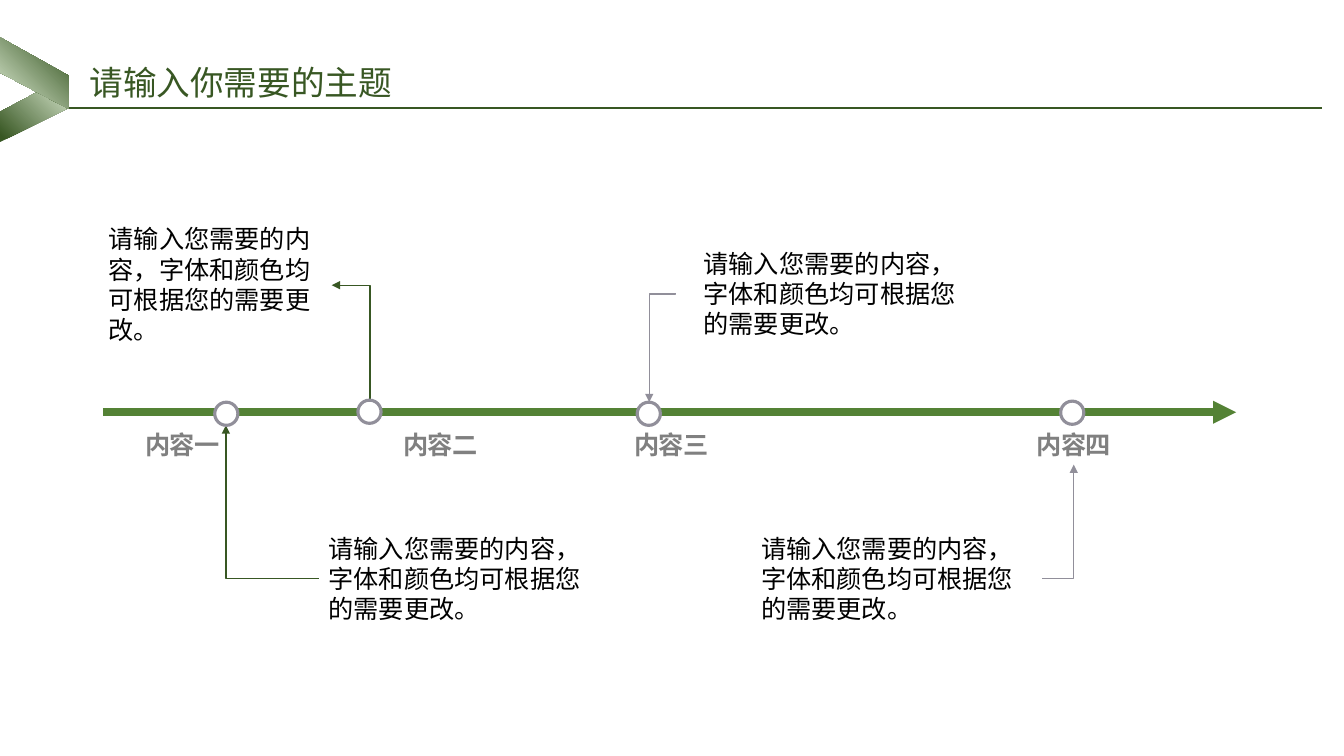
"""Build a timeline slide with four milestones and their descriptions."""
import math

import lxml.etree
import pptx
import pptx.dml.color
import pptx.enum.shapes
import pptx.enum.text
import pptx.oxml.ns
import pptx.util

PX = 9144
FONT = "Noto Sans CJK SC"
COLORS = {name: pptx.dml.color.RGBColor.from_string(value) for name, value in {
    "axis": "548235", "dark": "385723", "pale": "E2F0D9", "ring": "918F9A",
    "label": "808080", "black": "000000", "white": "FFFFFF"}.items()}

deck = pptx.Presentation()
deck.slide_width = 1333 * PX
deck.slide_height = 750 * PX
slide = deck.slides.add_slide(deck.slide_layouts[6])
shapes = slide.shapes


def add_line(begin, end, color, width, arrow=None, turn=None):
    middle_x, middle_y = (begin[0] + end[0]) / 2, (begin[1] + end[1]) / 2
    half_x, half_y = begin[0] - middle_x, begin[1] - middle_y
    angle = math.radians(turn or 0)
    frame_x = half_x * math.cos(angle) + half_y * math.sin(angle)
    frame_y = half_y * math.cos(angle) - half_x * math.sin(angle)
    kind = pptx.enum.shapes.MSO_CONNECTOR
    line = shapes.add_connector(
        kind.STRAIGHT if turn is None else kind.ELBOW,
        *(round(length * PX) for length in (
            middle_x + frame_x, middle_y + frame_y,
            middle_x - frame_x, middle_y - frame_y)))
    line.line.color.rgb = COLORS[color]
    line.line.width = pptx.util.Pt(width)
    properties = line._element.spPr
    if turn:
        properties.find(pptx.oxml.ns.qn("a:xfrm")).set("rot", str(turn * 60000))
    if arrow:
        lxml.etree.SubElement(line.line._get_or_add_ln(), pptx.oxml.ns.qn(arrow), type="triangle")
    lxml.etree.SubElement(properties, pptx.oxml.ns.qn("a:effectLst"))
    return properties.find(pptx.oxml.ns.qn("a:prstGeom"))


def add_text(text, left, top, width, height, size, color, latin=FONT, wrap=True):
    box = shapes.add_textbox(left * PX, top * PX, width * PX, height * PX)
    box.text_frame.text = text
    box.text_frame.word_wrap = wrap
    box.text_frame.auto_size = pptx.enum.text.MSO_AUTO_SIZE.SHAPE_TO_FIT_TEXT
    run = box.text_frame.paragraphs[0].runs[0]
    run.font.size = pptx.util.Pt(size)
    run.font.color.rgb = COLORS[color]
    run.font.name = latin
    lxml.etree.SubElement(run.font._element, pptx.oxml.ns.qn("a:ea"), typeface=FONT)
    return run.font


add_line((102, 409), (1226, 409), "axis", 5.5, "a:tailEnd")

for begin, end, color, turn, preset in [
    ((644, 399), (670, 291), "ring", 90, "bentConnector3"),
    ((224, 422), (316, 574), "dark", 270, "bentConnector2"),
    ((329, 283), (367, 397), "dark", 0, "bentConnector2"),
    ((1065, 461), (1033, 574), "ring", 90, "bentConnector2"),
]:
    geometry = add_line(begin, end, color, 1, "a:headEnd", turn)
    geometry.set("prst", preset)
    if preset == "bentConnector3":
        guides = geometry.get_or_add_avLst()
        lxml.etree.SubElement(guides, pptx.oxml.ns.qn("a:gd"), name="adj1", fmla="val 99400")

for left, top in [(213, 399), (355, 397), (632, 399), (1052, 398)]:
    milestone = shapes.add_shape(
        pptx.enum.shapes.MSO_SHAPE.OVAL, left * PX, top * PX, 23 * PX, 23 * PX)
    milestone.shadow.inherit = False
    milestone.fill.solid()
    milestone.fill.fore_color.rgb = COLORS["white"]
    milestone.line.color.rgb = COLORS["ring"]
    milestone.line.width = pptx.util.Pt(2.25)

for label, left in [("内容一", 134), ("内容二", 390), ("内容三", 619), ("内容四", 1018)]:
    label_font = add_text(label, left, 421, 95, 40, 18, "label", "Arial", False)
    label_font.bold = True
    label_font._element.set("spc", "-30")

for left, top, width, height in [
    (98, 217, 231, 131), (316, 524, 287, 101), (745, 524, 287, 101), (688, 241, 287, 101),
]:
    add_text("请输入您需要的内容，字体和颜色均可根据您的需要更改。",
             left, top, width, height, 18, "black")

for corners, angle in [
    ([(0, 141), (68, 107), (68, 75), (0, 111)], 45),
    ([(68, 108), (0, 72), (0, 37), (68, 75)], 225),
]:
    outline = shapes.build_freeform(*corners[0], scale=PX)
    outline.add_line_segments(corners[1:], close=True)
    ribbon = outline.convert_to_shape()
    ribbon.shadow.inherit = False
    ribbon.line.fill.background()
    ribbon.fill.gradient()
    ribbon.fill.gradient_angle = angle
    for stop, position, color in zip(ribbon.fill.gradient_stops, (0.05, 1), ("dark", "pale")):
        stop.position = position
        stop.color.rgb = COLORS[color]

add_line((68, 107), (1311, 107), "dark", 1.5)
add_text("请输入你需要的主题", 79, 57, 666, 50, 24, "dark")

deck.save("out.pptx")
